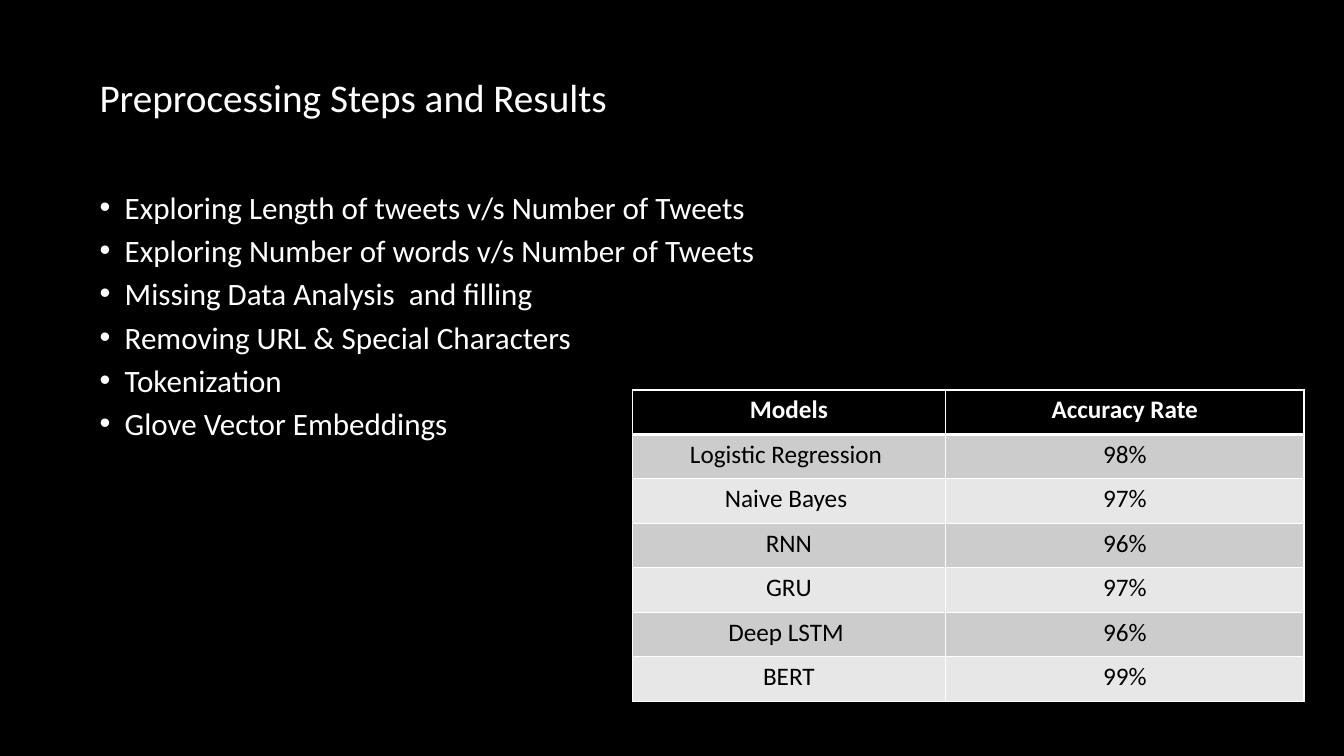
from lxml.etree import SubElement
from pptx import Presentation
from pptx.dml.color import RGBColor
from pptx.enum.text import PP_ALIGN
from pptx.oxml.ns import qn
from pptx.util import Pt

BLACK = RGBColor(0x00, 0x00, 0x00)
WHITE = RGBColor(0xFF, 0xFF, 0xFF)
DARK_BAND = RGBColor(0xCC, 0xCC, 0xCC)
LIGHT_BAND = RGBColor(0xE7, 0xE7, 0xE7)

TITLE = "Preprocessing Steps and Results"
STEPS = [
    "Exploring Length of tweets v/s Number of Tweets",
    "Exploring Number of words v/s Number of Tweets",
    "Missing Data Analysis  and filling",
    "Removing URL & Special Characters",
    "Tokenization",
    "Glove Vector Embeddings",
]
RESULTS = [
    ("Models", "Accuracy Rate"),
    ("Logistic Regression ", "98%"),
    ("Naive Bayes ", "97%"),
    ("RNN", "96%"),
    ("GRU", "97%"),
    ("Deep LSTM ", "96%"),
    ("BERT", "99%"),
]
COLUMN_WIDTHS = (224, 256)
ROW_HEIGHT = 31.8


def style_font(paragraph, size, color, bold=False):
    font = paragraph.font
    font.name = "Calibri"
    font.size = Pt(size)
    font.bold = bold
    font.color.rgb = color


def add_title(slide):
    title = slide.shapes.add_textbox(Pt(64), Pt(49), Pt(387), Pt(41))
    paragraph = title.text_frame.paragraphs[0]
    paragraph.text = TITLE
    style_font(paragraph, 28, WHITE)


def make_bullet(paragraph):
    properties = paragraph._p.get_or_add_pPr()
    properties.set("marL", str(Pt(18)))
    properties.set("indent", str(-Pt(18)))
    SubElement(properties, qn("a:buFont"), typeface="Arial")
    SubElement(properties, qn("a:buChar"), char="•")


def add_steps(slide):
    frame = slide.shapes.add_textbox(Pt(64), Pt(136), Pt(675), Pt(242)).text_frame
    frame.word_wrap = True
    for index, step in enumerate(STEPS):
        paragraph = frame.paragraphs[0] if index == 0 else frame.add_paragraph()
        paragraph.text = step
        paragraph.line_spacing = 0.8
        paragraph.space_after = Pt(9.6)
        style_font(paragraph, 22.2, WHITE)
        make_bullet(paragraph)


def set_borders(cell, **widths):
    """Draw white cell borders; widths maps L, R, T and B to points."""
    properties = cell._tc.get_or_add_tcPr()
    for position, (side, width) in enumerate(widths.items()):
        line = SubElement(properties, qn(f"a:ln{side}"), w=str(Pt(width)))
        fill = SubElement(line, qn("a:solidFill"))
        SubElement(fill, qn("a:srgbClr"), val=str(WHITE))
        properties.insert(position, line)


def add_results(slide):
    table = slide.shapes.add_table(
        len(RESULTS), len(COLUMN_WIDTHS), Pt(451.5), Pt(278.5),
        Pt(sum(COLUMN_WIDTHS)), Pt(ROW_HEIGHT * len(RESULTS))).table
    for column, width in zip(table.columns, COLUMN_WIDTHS):
        column.width = Pt(width)
    for row_index, values in enumerate(RESULTS):
        table.rows[row_index].height = Pt(ROW_HEIGHT)
        header = row_index == 0
        band = BLACK if header else DARK_BAND if row_index % 2 else LIGHT_BAND
        for column_index, value in enumerate(values):
            cell = table.cell(row_index, column_index)
            cell.fill.solid()
            cell.fill.fore_color.rgb = band
            set_borders(cell, L=1, R=1, T=3 if row_index == 1 else 1,
                        B=3 if header else 1)
            paragraph = cell.text_frame.paragraphs[0]
            paragraph.text = value
            paragraph.alignment = PP_ALIGN.CENTER
            style_font(paragraph, 18, WHITE if header else BLACK, header)


def main():
    presentation = Presentation()
    presentation.slide_width = Pt(960)
    presentation.slide_height = Pt(540)
    slide = presentation.slides.add_slide(presentation.slide_layouts[6])
    slide.background.fill.solid()
    slide.background.fill.fore_color.rgb = BLACK
    add_title(slide)
    add_steps(slide)
    add_results(slide)
    presentation.save("out.pptx")


if __name__ == "__main__":
    main()
